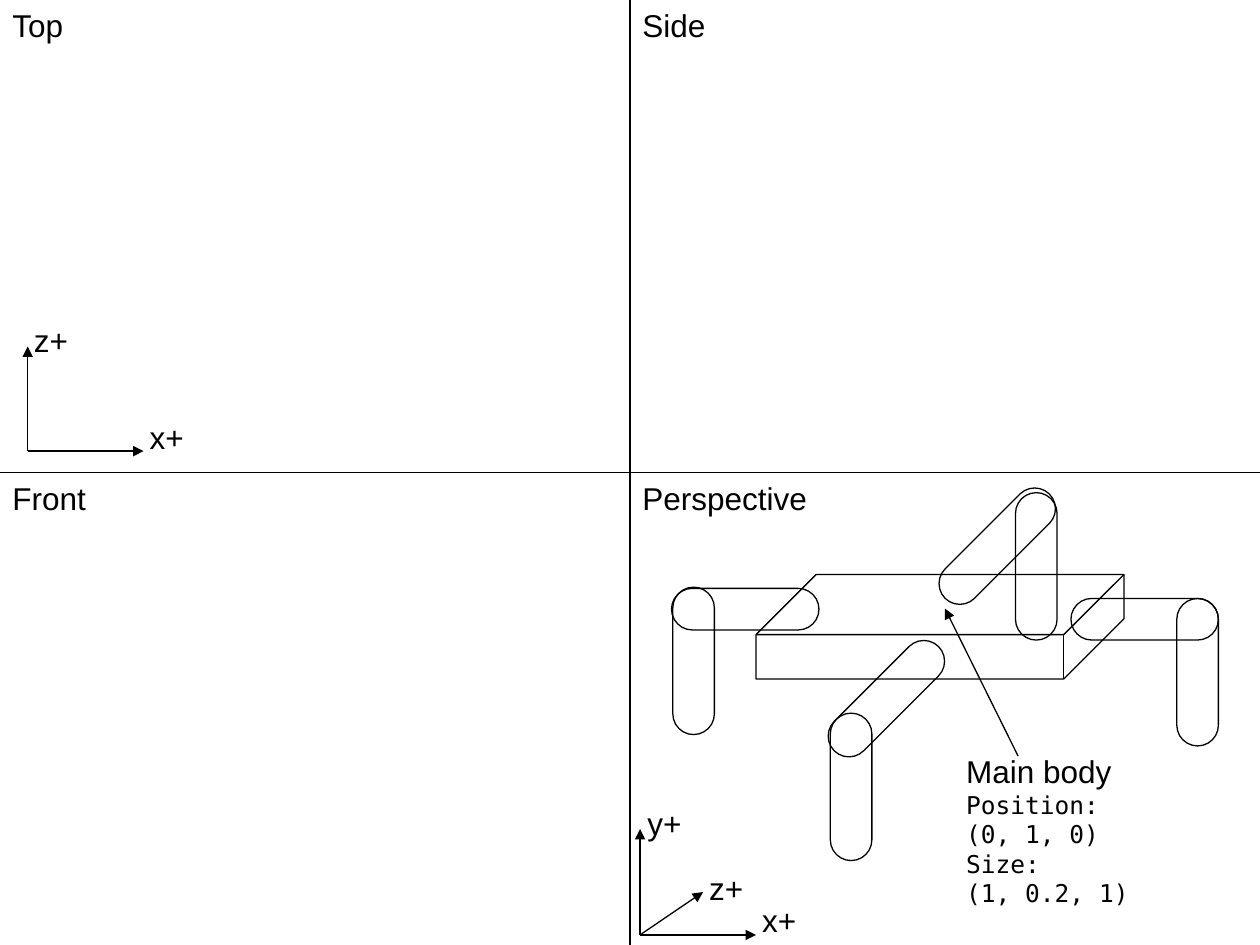
from lxml.etree import SubElement
from pptx import Presentation
from pptx.dml.color import RGBColor
from pptx.enum.shapes import MSO_CONNECTOR as CONN, MSO_SHAPE as SHAPE
from pptx.enum.text import MSO_ANCHOR, MSO_AUTO_SIZE, PP_ALIGN
from pptx.oxml.ns import qn
from pptx.util import Inches, Pt

BLACK = RGBColor(0, 0, 0)
SANS, MONO = "Arial", "DejaVu Sans Mono"
WIDTH, HEIGHT = 10, 7.5
MID_X, MID_Y = WIDTH / 2, HEIGHT / 2
LIMB_W, LIMB_H = 1.17, 0.33
LABEL_H = 0.4
AXIS_LABEL_W = 0.5

VIEWS = [
    ("Top", 0, 0, 0.68),
    ("Side", MID_X, 0, 0.75),
    ("Front", 0, MID_Y, 0.85),
    ("Perspective", MID_X, MID_Y, 1.6),
]
LIMBS = [
    (4.92, 5.08, 270), (5.33, 4.67, 0),
    (7.64, 4.33, 270), (7.33, 4.17, 315),
    (6.45, 5.38, 315), (6.17, 6.08, 270),
    (8.5, 4.75, 0), (8.92, 5.17, 270),
]
BODY = (6, 4.56, 2.92, 0.83)
BODY_DEPTH = 0.575
AXES = [
    ((0.22, 3.58), [("x+", (1.14, 3.58), (1.09, 3.27)),
                    ("z+", (0.22, 2.75), (0.17, 2.5))]),
    ((5.08, 7.42), [("x+", (6, 7.42), (5.95, 7.1)),
                    ("y+", (5.08, 6.58), (5.04, 6.33)),
                    ("z+", (5.58, 7.08), (5.53, 6.85))]),
]
NOTE = [
    ("Main body", 18, SANS),
    ("Position:\v(0, 1, 0)", 14, MONO),
    ("Size:\v(1, 0.2, 1)", 14, MONO),
]


def add_line(shapes, start, end, arrow=False):
    c = shapes.add_connector(CONN.STRAIGHT, *map(Inches, start + end))
    c.line.color.rgb = BLACK
    c.line.width = Pt(0.75)
    if arrow:
        SubElement(c.line._get_or_add_ln(), qn("a:tailEnd"), type="triangle")
    SubElement(c._element.spPr, qn("a:effectLst"))


def add_outline(shapes, kind, box, adjustment, rotation=0):
    sp = shapes.add_shape(kind, *map(Inches, box))
    sp.adjustments[0] = adjustment
    sp.rotation = rotation
    sp.shadow.inherit = False
    sp.fill.background()
    sp.line.color.rgb = BLACK
    sp.line.width = Pt(0.75)


def add_text(shapes, box, lines):
    tf = shapes.add_textbox(*map(Inches, box)).text_frame
    tf.word_wrap = True
    tf.auto_size = MSO_AUTO_SIZE.SHAPE_TO_FIT_TEXT
    tf.vertical_anchor = MSO_ANCHOR.TOP
    tf.text = "\n".join(text for text, _, _ in lines)
    for p, (_, size, font) in zip(tf.paragraphs, lines):
        p.alignment = PP_ALIGN.LEFT
        for r in p.runs:
            r.font.size = Pt(size)
            r.font.name = font
            r.font.color.rgb = BLACK


def add_axes(shapes, origin, axes):
    for name, tip, label in axes:
        add_line(shapes, origin, tip, arrow=True)
        add_text(shapes, (*label, AXIS_LABEL_W, LABEL_H), [(name, 18, SANS)])


def main():
    prs = Presentation()
    prs.slide_width, prs.slide_height = Inches(WIDTH), Inches(HEIGHT)
    s = prs.slides.add_slide(prs.slide_layouts[6])

    add_line(s.shapes, (MID_X, 0), (MID_X, HEIGHT))
    add_line(s.shapes, (0, MID_Y), (WIDTH, MID_Y))
    for name, x, y, w in VIEWS:
        add_text(s.shapes, (x, y, w, LABEL_H), [(name, 18, SANS)])

    add_outline(s.shapes, SHAPE.CUBE, BODY, BODY_DEPTH)
    for x, y, rotation in LIMBS:
        add_outline(s.shapes, SHAPE.ROUNDED_RECTANGLE,
                    (x, y, LIMB_W, LIMB_H), 0.5, rotation)

    for origin, axes in AXES:
        add_axes(s.shapes.add_group_shape().shapes, origin, axes)

    add_line(s.shapes, (8.08, 6), (7.5, 4.83), arrow=True)
    add_text(s.shapes, (7.57, 5.92, 1.7, 1.34), NOTE)
    prs.save("out.pptx")


if __name__ == "__main__":
    main()
